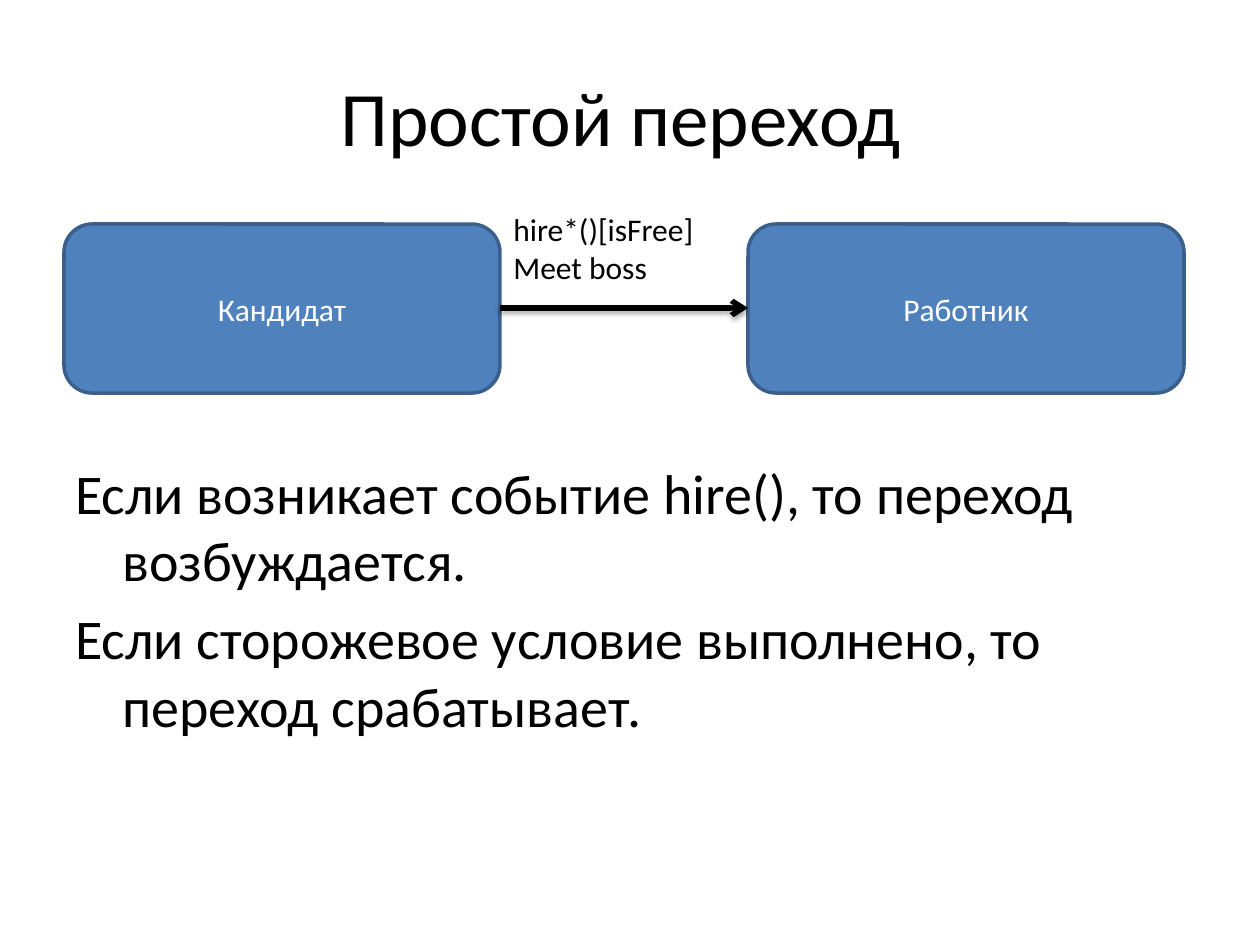
from lxml import etree
from pptx import Presentation
from pptx.dml.color import RGBColor
from pptx.enum.shapes import MSO_CONNECTOR, MSO_SHAPE
from pptx.enum.text import MSO_ANCHOR, PP_ALIGN
from pptx.oxml.ns import qn
from pptx.util import Emu, Inches, Pt

BLACK = RGBColor(0x00, 0x00, 0x00)
WHITE = RGBColor(0xFF, 0xFF, 0xFF)
STATE_FILL = RGBColor(0x4F, 0x81, 0xBD)
STATE_LINE = RGBColor(0x3A, 0x5F, 0x8C)
ROUNDED = MSO_SHAPE.ROUNDED_RECTANGLE
STRAIGHT = MSO_CONNECTOR.STRAIGHT
CENTER = PP_ALIGN.CENTER
LEFT = PP_ALIGN.LEFT
MIDDLE = MSO_ANCHOR.MIDDLE
TOP = MSO_ANCHOR.TOP

PIXELS_PER_INCH = 126
STATE_WIDTH, STATE_HEIGHT = 436, 169
STATE_TOP = 224
STATES = {"Кандидат": 64, "Работник": 748}


def px(value):
    return Emu(round(Inches(value) / PIXELS_PER_INCH))


class DiagramSlide:
    font_name = "Calibri"

    def __init__(self, presentation):
        self.slide = presentation.slides.add_slide(presentation.slide_layouts[6])

    def set_text(self, shape, lines, size, color=BLACK, align=LEFT, anchor=TOP,
                 space_before=0, hanging=0):
        frame = shape.text_frame
        frame.word_wrap = True
        frame.vertical_anchor = anchor
        for index, line in enumerate(lines):
            paragraph = frame.add_paragraph() if index else frame.paragraphs[0]
            paragraph.alignment = align
            paragraph.space_before = Pt(space_before)
            if hanging:
                properties = paragraph._p.get_or_add_pPr()
                properties.set("marL", str(px(hanging)))
                properties.set("indent", str(-px(hanging)))
            run = paragraph.add_run()
            run.text = line
            font_format = {"name": self.font_name, "size": Pt(size)}
            for name, value in font_format.items():
                setattr(run.font, name, value)
            run.font.color.rgb = color

    def text(self, box, lines, size, **style):
        shape = self.slide.shapes.add_textbox(*map(px, box))
        self.set_text(shape, lines, size, **style)

    def state(self, box, name):
        shape = self.slide.shapes.add_shape(ROUNDED, *map(px, box))
        shape.shadow.inherit = False
        shape.fill.solid()
        shape.fill.fore_color.rgb = STATE_FILL
        shape.line.color.rgb = STATE_LINE
        shape.line.width = Pt(2)
        self.set_text(shape, [name], 18, color=WHITE, align=CENTER, anchor=MIDDLE)

    def arrow(self, start, end):
        connector = self.slide.shapes.add_connector(
            STRAIGHT, *map(px, (*start, *end)))
        connector.line.color.rgb = BLACK
        connector.line.width = Pt(3)
        line = connector.line._get_or_add_ln()
        etree.SubElement(line, qn("a:tailEnd"), type="arrow")
        effects = etree.SubElement(connector._element.spPr, qn("a:effectLst"))
        shadow = etree.SubElement(
            effects, qn("a:outerShdw"), blurRad=str(Pt(3.1)),
            dist=str(Pt(1.8)), dir="5400000", rotWithShape="0")
        color = etree.SubElement(shadow, qn("a:srgbClr"), val=str(BLACK))
        etree.SubElement(color, qn("a:alpha"), val="35000")


def main():
    presentation = Presentation()
    slide_size = {"slide_width": Inches(10), "slide_height": Inches(7.5)}
    for name, value in slide_size.items():
        setattr(presentation, name, value)
    diagram = DiagramSlide(presentation)

    diagram.text((54, 37, 1134, 158), ["Простой переход"], 44,
                 align=CENTER, anchor=MIDDLE)
    for name, left in STATES.items():
        diagram.state((left, STATE_TOP, STATE_WIDTH, STATE_HEIGHT), name)

    source_left, target_left = STATES.values()
    source_right = source_left + STATE_WIDTH
    middle = STATE_TOP + STATE_HEIGHT // 2
    diagram.arrow((source_right, middle), (target_left, middle))
    diagram.text((source_right + 1, 204, 238, 89),
                 ["hire*()[isFree]", "Meet boss"], 18)
    diagram.text((63, 452, 1134, 392), [
        "Если возникает событие hire(), то переход возбуждается.",
        "Если сторожевое условие выполнено, то переход срабатывает.",
    ], 32, space_before=6.4, hanging=47)
    presentation.save("out.pptx")


if __name__ == "__main__":
    main()
